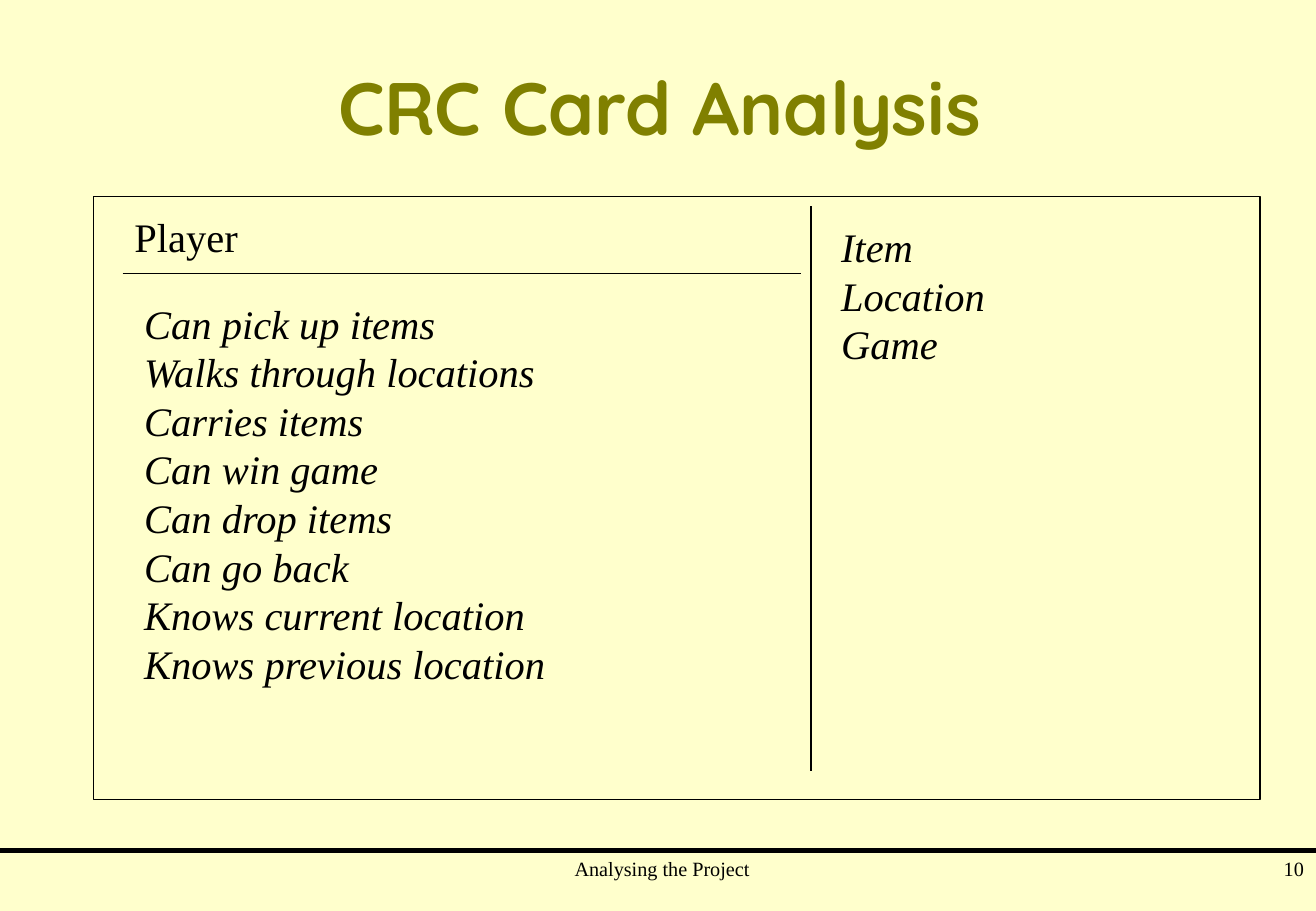
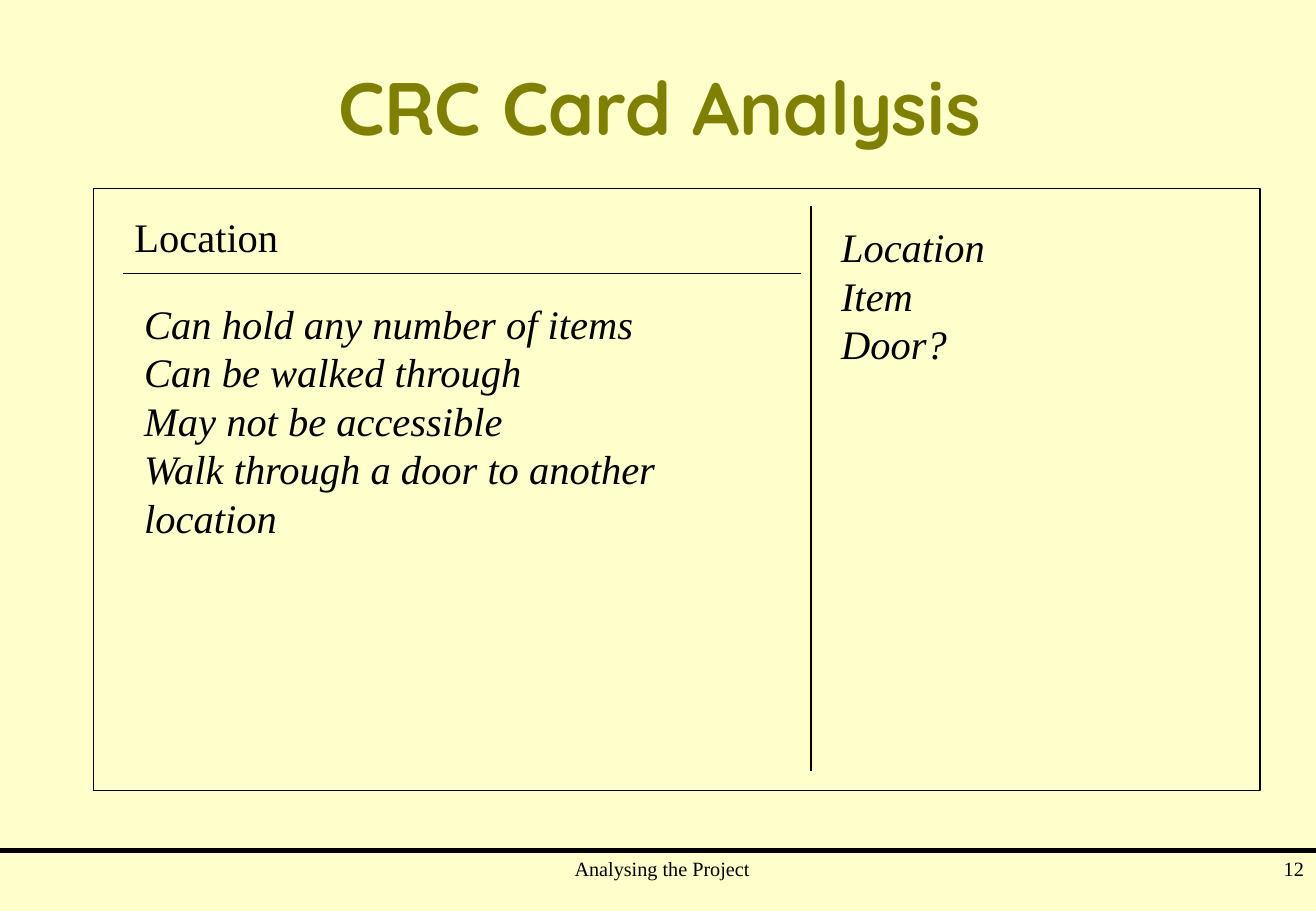
from lxml import etree
from pptx import Presentation
from pptx.dml.color import RGBColor
from pptx.enum.shapes import MSO_CONNECTOR, MSO_SHAPE
from pptx.enum.text import MSO_ANCHOR, MSO_AUTO_SIZE, PP_ALIGN
from pptx.oxml.ns import qn
from pptx.util import Pt

STRAIGHT = MSO_CONNECTOR.STRAIGHT
RECTANGLE = MSO_SHAPE.RECTANGLE
MIDDLE = MSO_ANCHOR.MIDDLE
FIXED_SIZE = MSO_AUTO_SIZE.NONE
GROW = MSO_AUTO_SIZE.SHAPE_TO_FIT_TEXT
LEFT, CENTER, RIGHT = PP_ALIGN.LEFT, PP_ALIGN.CENTER, PP_ALIGN.RIGHT

CREAM = RGBColor(0xFF, 0xFF, 0xCC)
OLIVE = RGBColor(0x80, 0x80, 0x00)
BLACK = RGBColor(0x00, 0x00, 0x00)

PX = 9144
SLIDE_W, SLIDE_H = 1084, 750
TITLE_ONLY = 5
LINE_PITCH = 40
TEXT_MARGIN = 10
FOOTER_INDENT = 24
THIN, THICK = 0.75, 3

TITLE_FONT = {"name": "Quicksand", "size": Pt(44), "bold": True}
CLASS_FONT = {"name": "Times New Roman", "size": Pt(24), "italic": False}
ENTRY_FONT = {**CLASS_FONT, "italic": True}
FOOTER_FONT = {**CLASS_FONT, "size": Pt(12)}

TITLE_BOX = (83, 25, 921, 125)
FOOTER_BOX = (0, 700, SLIDE_W, 50)
CARD_LEFT, CARD_W, CARD_H = 77, 961, 496
CONTENT_TOP = 170
NAME_W, DUTIES_W, HELPERS_W = 160, 460, 160

CARDS = [
    {
        "number": "10",
        "top": 162,
        "name": "Player",
        "duties": [
            "Can pick up items",
            "Walks through locations",
            "Carries items",
            "Can win game",
            "Can drop items",
            "Can go back",
            "Knows current location",
            "Knows previous location",
        ],
        "helpers": ["Item", "Location", "Game"],
    },
    {
        "number": "12",
        "top": 155,
        "name": "Location",
        "duties": [
            "Can hold any number of items",
            "Can be walked through",
            "May not be accessible",
            "Walk through a door to another",
            "location",
        ],
        "helpers": ["Location", "Item", "Door?"],
    },
]


def emu(*lengths):
    return [length * PX for length in lengths]


def style(paragraph, font, color, align, indent=0):
    paragraph.alignment = align
    paragraph._p.get_or_add_pPr().set("marL", str(indent * PX))
    for key, value in font.items():
        setattr(paragraph.font, key, value)
    paragraph.font.color.rgb = color


def add_text(slide, box, lines, font, align=LEFT, indent=0, fit=FIXED_SIZE):
    frame = slide.shapes.add_textbox(*emu(*box)).text_frame
    frame.word_wrap = True
    frame.auto_size = fit
    frame.text = "\n".join(lines)
    for paragraph in frame.paragraphs:
        style(paragraph, font, BLACK, align, indent)


def add_entries(slide, left, top, width, lines, font):
    height = len(lines) * LINE_PITCH + TEXT_MARGIN
    add_text(slide, (left, top, width, height), lines, font, fit=GROW)


def add_rule(slide, start, end, weight):
    rule = slide.shapes.add_connector(STRAIGHT, *emu(*start, *end))
    rule.line.color.rgb = BLACK
    rule.line.width = Pt(weight)
    etree.SubElement(rule._element.spPr, qn("a:effectLst"))


def add_title(slide, box, text):
    title = slide.shapes.title
    for side, length in zip(("left", "top", "width", "height"), emu(*box)):
        setattr(title, side, length)
    frame = title.text_frame
    frame.text = text
    frame.auto_size = FIXED_SIZE
    frame.vertical_anchor = MIDDLE
    style(frame.paragraphs[0], TITLE_FONT, OLIVE, CENTER)


def add_frame(slide, box):
    frame = slide.shapes.add_shape(RECTANGLE, *emu(*box))
    frame.shadow.inherit = False
    frame.fill.solid()
    frame.fill.fore_color.rgb = CREAM
    frame.line.color.rgb = BLACK
    frame.line.width = Pt(THIN)


def add_card(slide, left, top, card):
    margin = left + 24
    divider = left + 591
    add_entries(slide, margin, top, NAME_W, [card["name"]], CLASS_FONT)
    add_rule(slide, (divider, top), (divider, top + 465), THIN)
    add_entries(slide, margin + 8, top + 71, DUTIES_W, card["duties"], ENTRY_FONT)
    add_rule(slide, (margin, top + 55), (divider - 8, top + 55), THIN)
    add_entries(slide, divider + 15, top + 8, HELPERS_W, card["helpers"], ENTRY_FONT)


def add_footer(slide, box, number):
    left, top, width, height = box
    add_rule(slide, (left, top), (left + width, top), THICK)
    add_text(slide, (left + 325, top, 417, height),
             ["Analysing the Project"], FOOTER_FONT, CENTER, FOOTER_INDENT)
    add_text(slide, (left + width - 226, top, 226, height),
             [number], FOOTER_FONT, RIGHT, FOOTER_INDENT)


def add_card_slide(prs, card):
    slide = prs.slides.add_slide(prs.slide_layouts[TITLE_ONLY])
    add_title(slide, TITLE_BOX, "CRC Card Analysis")
    add_frame(slide, (CARD_LEFT, card["top"], CARD_W, CARD_H))
    add_card(slide, CARD_LEFT, CONTENT_TOP, card)
    add_footer(slide, FOOTER_BOX, card["number"])


def main():
    prs = Presentation()
    prs.slide_width, prs.slide_height = emu(SLIDE_W, SLIDE_H)
    backdrop = prs.slide_master.background.fill
    backdrop.solid()
    backdrop.fore_color.rgb = CREAM
    for card in CARDS:
        add_card_slide(prs, card)
    prs.save("out.pptx")


if __name__ == "__main__":
    main()
